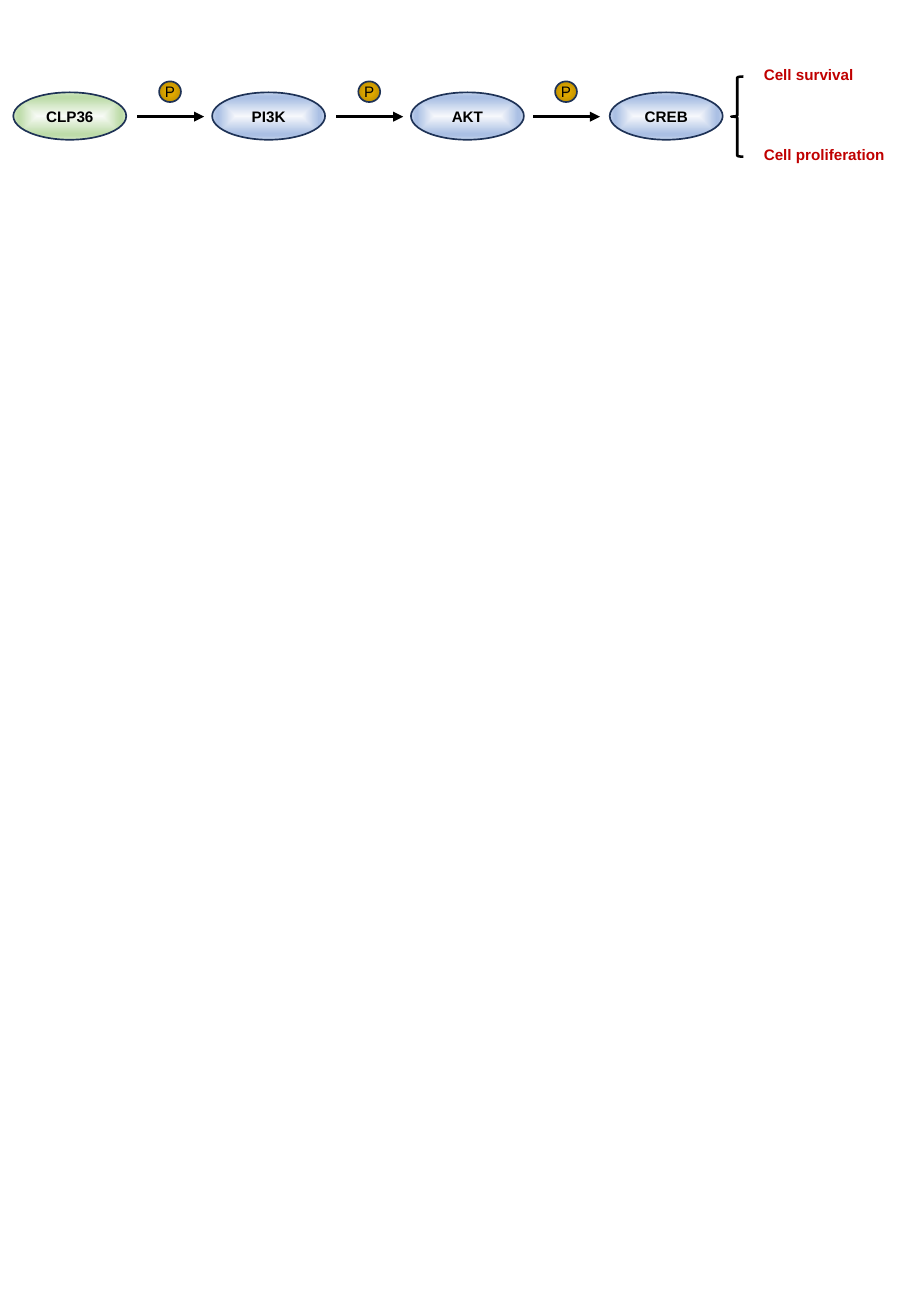
from lxml import etree
from pptx import Presentation
from pptx import util as u
from pptx.dml.color import RGBColor
from pptx.enum import shapes, text
from pptx.oxml.ns import qn

PROTEINS = [("CLP36", "green"), ("PI3K", "blue"), ("AKT", "blue"), ("CREB", "blue")]
OUTCOMES = [("Cell survival", 49, 95), ("Cell proliferation", 115, 122)]  # top, width
ARROW_STARTS = [113, 277, 439]
PHOSPHATE = "P"

COLORS = {"outline": "1E3256", "ink": "000000", "outcome": "C00000"}
GRADIENTS = {  # path kind, then (percent, colour) stops
    "green": ("shape", [(0, "F8FBF6"), (74, "BEDCAA"), (83, "BEDCAA"), (100, "D4E8C6")]),
    "blue": ("shape", [(0, "F6F8FC"), (74, "ABC0E4"), (83, "ABC0E4"), (100, "C7D5ED")]),
    "gold": ("circle", [(0, "E3AB00"), (0, "BF9000"), (23, "E3AB00"), (97, "B28600")]),
}

PX = 9144  # EMU per px, 100 px to the inch
SLIDE_W, SLIDE_H = 750, 1083
PROTEIN_W, PROTEIN_H, PROTEIN_TOP = 93, 39, 76
FIRST_LEFT, LAST_LEFT = 11, 502
ARROW_Y, ARROW_LEN = 96, 55
P_OFFSET, P_TOP, P_W, P_H = 18, 67, 18, 17
BRACE = (602, 63, 10, 66)
OUTCOME_LEFT, OUTCOME_H = 619, 25


def px(*lengths):
    return [u.Emu(round(n * PX)) for n in lengths]


def rgb(name):
    return RGBColor.from_string(COLORS[name])


def write(tf, words, color="ink", bold=True):
    tf.word_wrap = False
    r = tf.paragraphs[0].add_run()
    r.text = words
    r.font.name, r.font.size, r.font.bold = "Arial", u.Pt(9), bold
    r.font.color.rgb = rgb(color)


def fill_radial(sp, name):
    """Fill a shape with a gradient that spreads from its centre."""
    kind, stops = GRADIENTS[name]
    sp.fill.gradient()
    grad = sp._element.spPr.find(qn("a:gradFill"))
    for child in list(grad):
        grad.remove(child)
    gs_list = etree.SubElement(grad, qn("a:gsLst"))
    for percent, color in stops:
        gs = etree.SubElement(gs_list, qn("a:gs"), pos=str(percent * 1000))
        etree.SubElement(gs, qn("a:srgbClr"), val=color)
    spread = etree.SubElement(grad, qn("a:path"), {"path": kind})
    etree.SubElement(spread, qn("a:fillToRect"), {side: "50000" for side in "ltrb"})


def add_ellipse(s, box, words, gradient, bold=True):
    sp = s.shapes.add_shape(shapes.MSO_SHAPE.OVAL, *px(*box))
    sp.shadow.inherit = False
    fill_radial(sp, gradient)
    sp.line.color.rgb, sp.line.width = rgb("outline"), u.Pt(1)
    tf = sp.text_frame
    tf.margin_left = tf.margin_right = tf.margin_top = tf.margin_bottom = 0
    tf.vertical_anchor = text.MSO_ANCHOR.MIDDLE
    tf.paragraphs[0].alignment = text.PP_ALIGN.CENTER
    write(tf, words, bold=bold)


def add_arrow(s, left):
    line = s.shapes.add_connector(shapes.MSO_CONNECTOR.STRAIGHT,
                                  *px(left, ARROW_Y, left + ARROW_LEN, ARROW_Y))
    line.line.color.rgb, line.line.width = rgb("ink"), u.Pt(1.5)
    etree.SubElement(line.line._get_or_add_ln(), qn("a:tailEnd"), type="triangle")
    etree.SubElement(line._element.spPr, qn("a:effectLst"))


def add_brace(s):
    sp = s.shapes.add_shape(shapes.MSO_SHAPE.LEFT_BRACE, *px(*BRACE))
    sp.shadow.inherit = False
    sp.fill.background()
    sp.line.color.rgb, sp.line.width = rgb("ink"), u.Pt(1.5)


def main():
    prs = Presentation()
    prs.slide_width, prs.slide_height = px(SLIDE_W, SLIDE_H)
    s = prs.slides.add_slide(prs.slide_layouts[6])

    pitch = (LAST_LEFT - FIRST_LEFT) / (len(PROTEINS) - 1)
    for i, (name, gradient) in enumerate(PROTEINS):
        box = (FIRST_LEFT + i * pitch, PROTEIN_TOP, PROTEIN_W, PROTEIN_H)
        add_ellipse(s, box, name, gradient)

    for left in ARROW_STARTS:
        add_arrow(s, left)
        add_ellipse(s, (left + P_OFFSET, P_TOP, P_W, P_H), PHOSPHATE, "gold", bold=False)

    add_brace(s)
    for words, top, width in OUTCOMES:
        tb = s.shapes.add_textbox(*px(OUTCOME_LEFT, top, width, OUTCOME_H))
        tb.text_frame.auto_size = text.MSO_AUTO_SIZE.SHAPE_TO_FIT_TEXT
        write(tb.text_frame, words, "outcome")

    prs.save("out.pptx")


if __name__ == "__main__":
    main()
